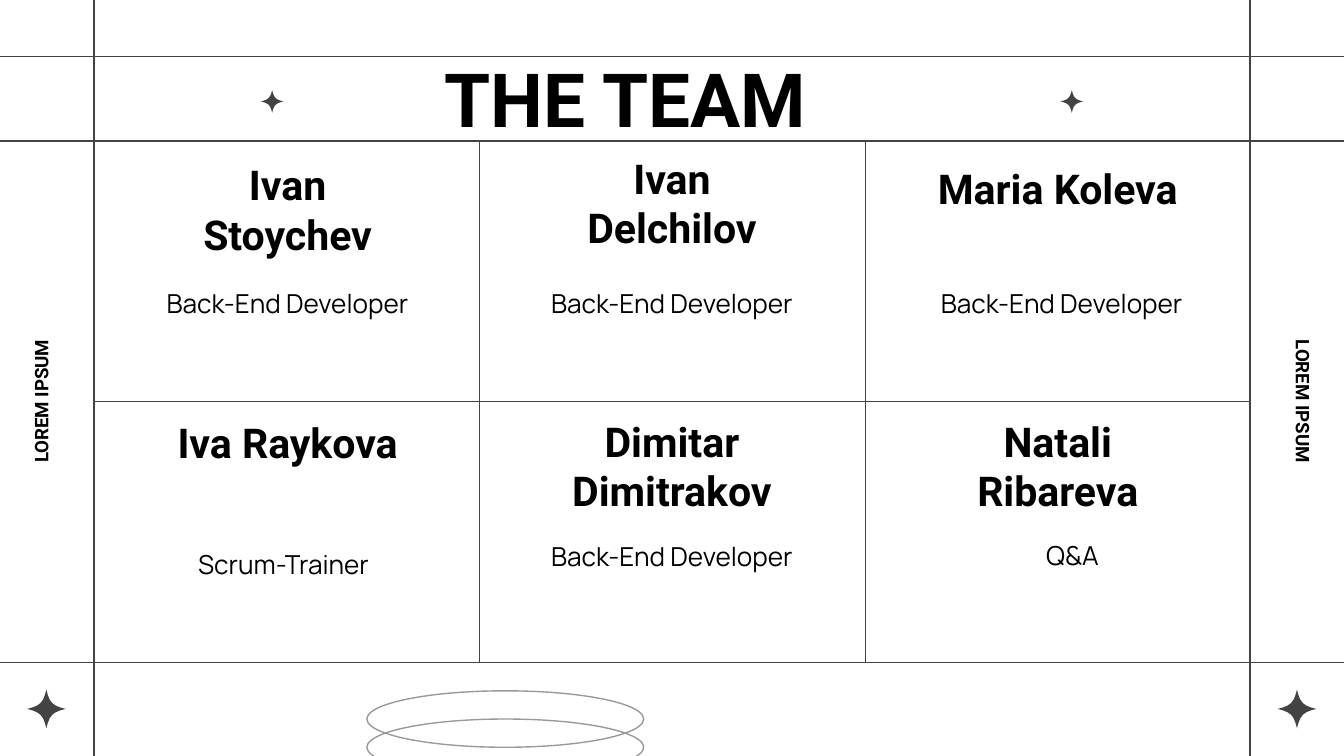
"""Build the team slide: a ruled three by two grid of names and roles."""
from lxml.etree import SubElement
from pptx import Presentation
from pptx.dml.color import RGBColor
from pptx.enum.shapes import MSO_CONNECTOR, MSO_SHAPE
from pptx.enum.text import MSO_ANCHOR, MSO_AUTO_SIZE, PP_ALIGN
from pptx.oxml.ns import qn
from pptx.util import Pt

PX = 4572
WIDE, HIGH = 2000, 1125
LEFT, RIGHT, TOP, BASE = 140, 1860, 210, 986
STEP = 574
BLACK = RGBColor(0x00, 0x00, 0x00)
DARK = RGBColor(0x43, 0x43, 0x43)
GREY = RGBColor(0x99, 0x99, 0x99)
NAME = {"name": "Roboto", "size": Pt(22), "bold": True}
ROLE = {"name": "Manrope", "size": Pt(14), "bold": False}
SIDE = {"name": "Roboto", "size": Pt(10), "bold": True}
HEAD = {"name": "Roboto", "size": Pt(40), "bold": True}

deck = Presentation()
deck.slide_width, deck.slide_height = WIDE * PX, HIGH * PX
slide = deck.slides.add_slide(deck.slide_layouts[5])
shapes = slide.shapes


def write(box, text, style, place, align=PP_ALIGN.CENTER, pad=(0, 0)):
    """Place a box and fill it with one styled paragraph."""
    box.left, box.top, box.width, box.height = [n * PX for n in place]
    frame = box.text_frame
    form = {
        "word_wrap": True,
        "auto_size": MSO_AUTO_SIZE.NONE,
        "vertical_anchor": MSO_ANCHOR.TOP,
        "margin_left": 20 * PX,
        "margin_right": 20 * PX,
        "margin_top": pad[0] * PX,
        "margin_bottom": pad[1] * PX,
    }
    for key, value in form.items():
        setattr(frame, key, value)
    para = frame.paragraphs[0]
    para.text = text
    para.alignment = align
    for key, value in style.items():
        setattr(para.runs[0].font, key, value)
    para.runs[0].font.color.rgb = BLACK


def star(mid_x, mid_y, half):
    """Draw a four-pointed star from eight cubic curves."""
    tip = (0, -1)
    arm = [(0.1, -0.47), tip, tip, tip, (-0.1, -0.47), (-0.3, -0.3)]
    dots = [(0.3, -0.3)]
    for turn in range(4):
        dots += arm
        arm = [(y, -x) for x, y in arm]
    dots = [((mid_x + x * half) * PX, (mid_y + y * half) * PX) for x, y in dots]
    pen = shapes.build_freeform(*dots[0])
    pen.add_line_segments(dots[1:])
    shape = pen.convert_to_shape()
    lines = list(shape._element.iter(qn("a:lnTo")))
    for first in range(0, len(dots) - 1, 3):
        curve = lines[first].makeelement(qn("a:cubicBezTo"))
        lines[first].addprevious(curve)
        for line in lines[first:first + 3]:
            curve.append(line[0])
            line.getparent().remove(line)
    shape.shadow.inherit = False
    shape.fill.solid()
    shape.fill.fore_color.rgb = DARK
    shape.line.fill.background()


rules = [(LEFT + STEP * n, TOP, LEFT + STEP * n, BASE) for n in (1, 2)]
rules += [(0, y, WIDE, y) for y in (84, TOP, BASE)]
rules += [(x, 0, x, HIGH) for x in (RIGHT, LEFT)]
rules.append((LEFT, (TOP + BASE) // 2, RIGHT, (TOP + BASE) // 2))
for rule in rules:
    line = shapes.add_connector(MSO_CONNECTOR.STRAIGHT, *[n * PX for n in rule])
    line.line.color.rgb = DARK
    line.line.width = Pt(0.75)
    SubElement(line._element.spPr, qn("a:effectLst"))

for spot in [(69, 1055, 29), (1930, 1055, 29), (405, 151, 17), (1595, 151, 17)]:
    star(*spot)

for top in (1028, 1070):
    ring = shapes.add_shape(MSO_SHAPE.OVAL, 546 * PX, top * PX, 412 * PX, 84 * PX)
    ring.shadow.inherit = False
    ring.fill.background()
    ring.line.color.rgb = GREY
    ring.line.width = Pt(0.75)

write(shapes.title, "THE TEAM", HEAD, (642, 73, 716, 138), PP_ALIGN.LEFT, (5, 20))

team = [
    ("Ivan Stoychev", 220, 238, "Back-End Developer", 220, 428),
    ("Ivan Delchilov", 792, 228, "Back-End Developer", 792, 428),
    ("Maria Koleva", 1366, 244, "Back-End Developer", 1372, 428),
    ("Iva Raykova", 220, 622, "Scrum-Trainer", 214, 816),
    ("Dimitar Dimitrakov", 792, 620, "Back-End Developer", 792, 804),
    ("Natali Ribareva", 1366, 620, "Q&A", 1388, 802),
]
for name, name_x, name_y, role, role_x, role_y in team:
    write(shapes.add_textbox(0, 0, 0, 0), name, NAME, (name_x, name_y, 416, 152))
    write(shapes.add_textbox(0, 0, 0, 0), role, ROLE, (role_x, role_y, 416, 102))

for left, angle in [(-138, 270), (1724, 90)]:
    label = shapes.add_textbox(0, 0, 0, 0)
    write(label, "LOREM IPSUM", SIDE, (left, 572, 414, 50))
    label.rotation = angle

deck.save("out.pptx")
